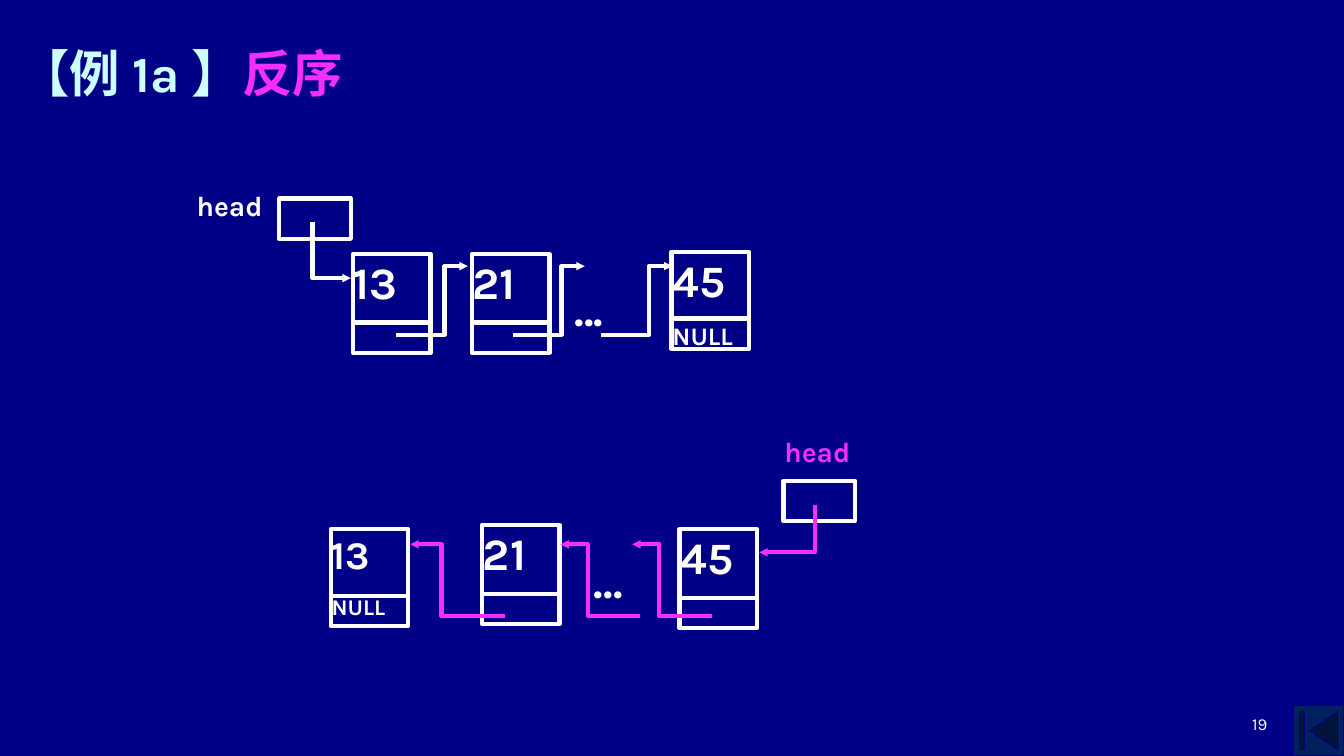
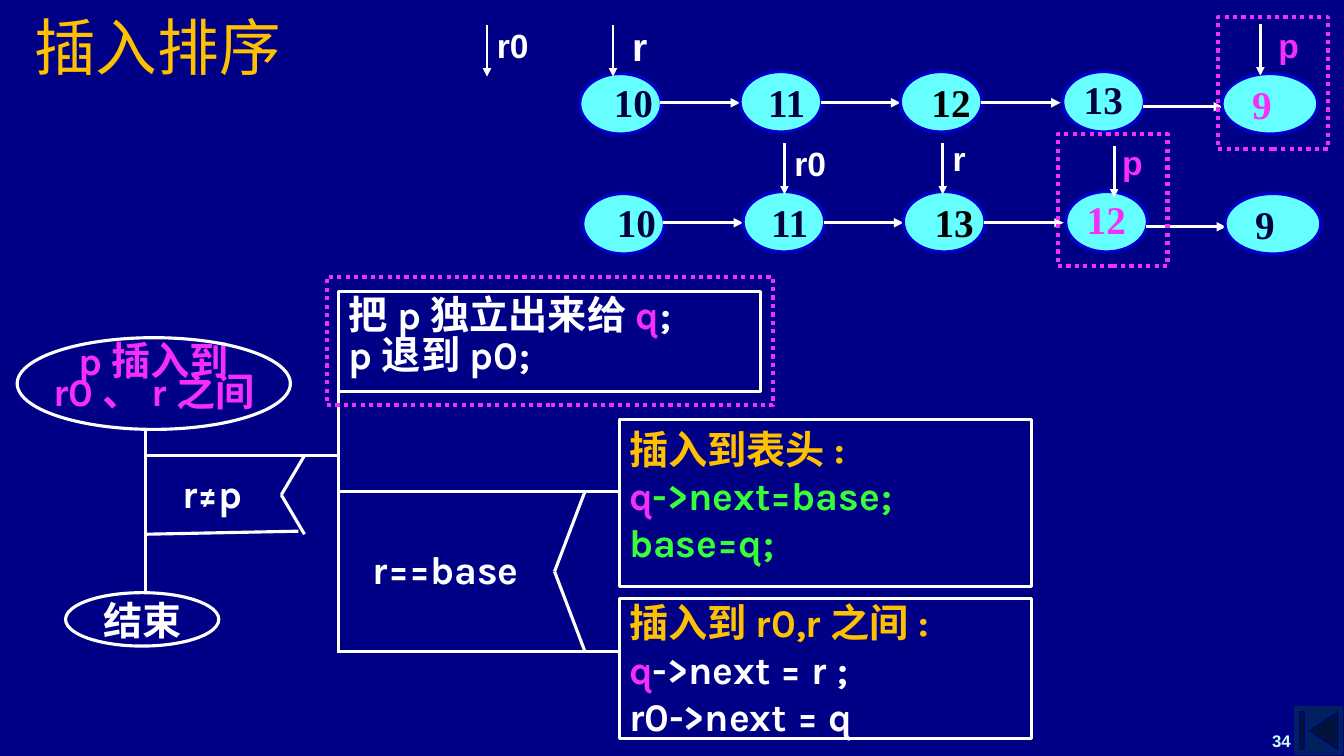
from dataclasses import dataclass

from lxml import etree
from pptx import Presentation
from pptx.dml.color import RGBColor
from pptx.enum.dml import MSO_LINE
from pptx.enum.shapes import MSO_CONNECTOR, MSO_SHAPE
from pptx.enum.text import MSO_ANCHOR, MSO_AUTO_SIZE, PP_ALIGN
from pptx.oxml.ns import qn
from pptx.util import Inches, Pt

RECT, OVAL = MSO_SHAPE.RECTANGLE, MSO_SHAPE.OVAL
BUTTON = MSO_SHAPE.ACTION_BUTTON_BEGINNING
STRAIGHT, DOTS = MSO_CONNECTOR.STRAIGHT, MSO_LINE.ROUND_DOT
TOP, MIDDLE, BOTTOM = MSO_ANCHOR.TOP, MSO_ANCHOR.MIDDLE, MSO_ANCHOR.BOTTOM
LEFT, CENTER, RIGHT = PP_ALIGN.LEFT, PP_ALIGN.CENTER, PP_ALIGN.RIGHT


@dataclass(frozen=True)
class Theme:
    ground: str = "000086"
    white: str = "FFFFFF"
    pink: str = "F52EFC"
    pale: str = "CCFFFF"
    gold: str = "FFC000"
    green: str = "37FF37"
    cyan: str = "66FFFF"
    rim: str = "0000CC"
    ink: str = "000043"
    black: str = "000000"
    navy: str = "002060"
    font: str = "Karla"
    sans: str = "Arial"
    serif: str = "Times New Roman"
    title: int = 36
    large: int = 44
    value: int = 32
    body: int = 28
    label: int = 24
    head: int = 20
    null: int = 18
    foot: int = 12
    thick: float = 3
    thin: float = 2.25
    fine: float = 2


T = Theme()


def rgb(code):
    return RGBColor.from_string(code)


def write(frame, *paras, anchor=TOP, inset=None, **style):
    """Fill a frame; a paragraph is text, (text, colour) runs, or a pair with its own format."""
    frame.word_wrap = True
    frame.auto_size = MSO_AUTO_SIZE.NONE
    frame.vertical_anchor = anchor
    if inset is not None:
        frame.margin_left = frame.margin_right = Inches(inset)
        frame.margin_top = frame.margin_bottom = Inches(inset)
    for i, para in enumerate(paras):
        runs, own = para if isinstance(para, tuple) else (para, {})
        form = {"size": T.body, "color": T.white, "font": T.font, "bold": True,
                "align": LEFT, "lead": None, "before": 0, **style, **own}
        par = frame.add_paragraph() if i else frame.paragraphs[0]
        par.alignment = form["align"]
        par.space_before = Pt(form["before"])
        if form["lead"]:
            par.line_spacing = form["lead"]
        if isinstance(runs, str):
            runs = [(runs, form["color"])]
        for text, color in runs:
            run = par.add_run()
            run.text = text
            run.font.size = Pt(form["size"])
            run.font.name = form["font"]
            run.font.bold = form["bold"]
            run.font.color.rgb = rgb(color)


def stroke(shape, color, width, arrow=None, dash=None):
    shape.line.color.rgb = rgb(color)
    shape.line.width = Pt(width)
    if dash:
        shape.line.dash_style = dash
    props = shape.element.spPr
    if arrow:
        etree.SubElement(props.find(qn("a:ln")), qn("a:tailEnd"),
                         type="triangle", w=arrow, len=arrow)
    if props.find(qn("a:effectLst")) is None:
        etree.SubElement(props, qn("a:effectLst"))


@dataclass
class Area:
    """A region of a slide; every place is measured from its top left corner."""
    slide: object
    x: float = 0
    y: float = 0

    def at(self, x, y):
        return Inches(self.x + x), Inches(self.y + y)

    def box(self, x, y, w, h, kind=RECT, fill=None, color=T.white,
            width=T.thin, dash=None):
        shape = self.slide.shapes.add_shape(kind, *self.at(x, y), Inches(w), Inches(h))
        shape.shadow.inherit = False
        if fill:
            shape.fill.solid()
            shape.fill.fore_color.rgb = rgb(fill)
        else:
            shape.fill.background()
        stroke(shape, color, width, dash=dash)
        return shape

    def text(self, x, y, w, h, *paras, **form):
        frame = self.slide.shapes.add_textbox(*self.at(x, y), Inches(w), Inches(h))
        write(frame.text_frame, *paras, **form)

    def line(self, start, end, width=T.thin, arrow=None):
        shape = self.slide.shapes.add_connector(STRAIGHT, *self.at(*start), *self.at(*end))
        stroke(shape, T.white, width, arrow)

    def bend(self, points, color):
        start, *rest = [self.at(*point) for point in points]
        pen = self.slide.shapes.build_freeform(*start)
        pen.add_line_segments(rest, close=False)
        shape = pen.convert_to_shape()
        shape.shadow.inherit = False
        shape.fill.background()
        stroke(shape, color, T.thick, "sm")


def start(deck, title, box, number, spot, form, foot):
    """Add a slide with its title, page number and corner button."""
    slide = deck.slides.add_slide(deck.slide_layouts[5])
    head = slide.shapes.title
    head.left, head.top, head.width, head.height = map(Inches, box)
    write(head.text_frame, title, anchor=MIDDLE, **form)
    area = Area(slide)
    area.box(12.83, 7, 0.5, 0.5, BUTTON, T.navy, T.ground, 0.75)
    area.text(*spot, number, anchor=BOTTOM, align=RIGHT, size=T.foot, **foot)
    return slide


def node(area, x, y, value, size=T.value, null=0, gap=0):
    """Draw a list node: value above, link field (or NULL) below."""
    high = 0.96 if null else 0.98
    paras = [value]
    if null:
        paras.append(("NULL", {"size": null, "before": gap}))
    shape = area.box(x, y, 0.77, high, width=T.thick)
    write(shape.text_frame, *paras, inset=0.01, size=size)
    bar = y + high - 0.3
    area.line((x, bar), (x + 0.76, bar), T.thick)


def hook(area, x, y, run, rise, reach, color):
    """Draw a link that runs along, climbs, then points on."""
    area.bend([(x, y), (x + run, y), (x + run, y - rise),
               (x + run + reach, y - rise)], color)


def head(area, x, y, box, color):
    area.text(x, y, 0.9, 0.46, "head", inset=0.01, size=T.head, color=color)
    area.box(*box, 0.71, 0.4, width=T.thick)


def dots(area, x, y):
    area.text(x, y, 0.73, 0.42, "...", inset=0.01, size=T.value)


def chain(area):
    head(area, 0, 0, (0.83, 0.11), T.white)
    node(area, 1.56, 0.66, "13")
    node(area, 2.74, 0.66, "21")
    node(area, 4.72, 0.64, "45", null=T.null, gap=9.4)
    for x in (1.99, 3.15, 4.02):
        hook(area, x, 1.46, 0.48, 0.68, 0.23, T.white)
    dots(area, 3.75, 0.92)
    area.bend([(1.16, 0.34), (1.16, 0.9), (1.54, 0.9)], T.white)


def turned(area):
    head(area, 4.49, 0, (4.49, 0.47), T.pink)
    node(area, 0, 0.95, "13", size=T.body, null=16, gap=11.7)
    node(area, 1.5, 0.91, "21")
    node(area, 3.46, 0.95, "45")
    for x, run, reach in ((1.73, -0.63, -0.31), (3.07, -0.52, -0.27), (3.78, -0.52, -0.27)):
        hook(area, x, 1.81, run, 0.71, reach, T.pink)
    dots(area, 2.6, 1.18)
    area.bend([(4.8, 0.71), (4.8, 1.18), (4.25, 1.18)], T.pink)


def row(area, items):
    """Draw five linked ovals from (value, colour) pairs."""
    lefts = (0, 1.59, 3.18, 4.79, 6.37)
    tops = (0, -0.02, -0.02, -0.02, 0)
    shifts = ((0.24, 0), (0.18, 0.02), (0.21, 0.02), (0.11, -0.01), (0.2, 0.02))
    for i, (value, color) in enumerate(items):
        x, y = lefts[i], tops[i]
        dx, dy = shifts[i]
        area.box(x, y, 0.95 if i == 4 else 0.81, 0.6, OVAL, T.cyan, T.rim)
        area.text(x + dx, y + dy, 0.85, 0.57, value, font=T.serif, color=color)
        if i < 4:
            link = 0.33 if i == 3 else 0.29
            area.line((x + 0.8, link), (x + 1.59, link), arrow="med")


def mark(area, x, y, name, dx, dy, color=T.white, size=T.label):
    """Draw a down arrow and the name of the pointer beside it."""
    area.line((x, y), (x, y + 0.51), T.fine, "med")
    area.text(x + dx, y + dy, 0.72, 0.51, name, font=T.sans, color=color, size=size)


def notch(area, x, y, deep, high):
    tip = (x - deep, y + high / 2)
    for end in (y, y + high):
        area.line((x, end), tip)


def flow(area):
    area.text(0, 0.7, 2.71, 0.72, "p插入到", "r0、r之间",
              color=T.pink, align=CENTER, lead=Pt(22))
    area.box(0, 0.6, 2.71, 0.91, OVAL)
    area.text(0.48, 3.12, 1.52, 0.4, "结束", align=CENTER)
    area.box(0.48, 3.13, 1.52, 0.53, OVAL)
    for begin, end in (
        ((1.27, 1.51), (1.27, 3.11)), ((1.27, 1.77), (3.19, 1.77)),
        ((1.27, 2.55), (2.79, 2.52)), ((3.19, 0.45), (3.19, 3.73)),
        ((3.19, 2.13), (5.97, 2.13)), ((3.17, 3.71), (5.97, 3.71)),
    ):
        area.line(begin, end)
    notch(area, 2.85, 1.77, 0.23, 0.78)
    notch(area, 5.63, 2.13, 0.3, 1.58)
    area.text(1.37, 1.86, 1.13, 0.61, "r≠p", align=CENTER)
    area.text(3.07, 2.61, 2.36, 0.55, "r==base", align=CENTER)
    tight = {"lead": 0.64}
    steps = (
        ((3.19, 0.14, 4.18, 0.99),
         ([("把p独立出来给", T.white), ("q", T.pink), (";", T.white)], tight),
         ("p退到p0;", {"lead": 0.9})),
        ((5.97, 3.19, 4.09, 1.39),
         ("插入到r0,r之间:", {"color": T.gold}),
         [("q", T.pink), ("->next = r ;", T.white)],
         "r0->next = q"),
        ((5.97, 1.41, 4.09, 1.66),
         ("插入到表头:", {"color": T.gold, **tight}),
         [("q", T.pink), ("->next=base;", T.green)],
         ("base=q;", {"color": T.green})),
    )
    for box, *paras in steps:
        write(area.box(*box).text_frame, *paras, anchor=MIDDLE)
    frame(area, 3.07, 0, 4.43, 1.27)


def frame(area, x, y, w, h):
    area.box(x, y, w, h, color=T.pink, width=T.thick, dash=DOTS)


def reverse(deck):
    slide = start(deck, [("【例1a】", T.pale), ("反序", T.pink)], (0.09, 0.32, 7.95, 0.95),
                  "19", (9.56, 6.83, 3.11, 0.5), {"size": T.title, "lead": 0.7},
                  {"bold": False})
    chain(Area(slide, 1.94, 1.86))
    turned(Area(slide, 3.28, 4.3))


def insert(deck):
    slide = start(deck, "插入排序", (0.24, 0.19, 2.91, 0.53), "34", (11.75, 7, 1.15, 0.5),
                  {"size": T.large, "color": T.gold, "bold": False},
                  {"font": T.sans, "color": T.pale})
    flow(Area(slide, 0.17, 2.75))
    page = Area(slide)
    row(Area(slide, 5.78, 1.92), (("10", T.ink), ("11", T.ink), ("13", T.black),
                                  ("12", T.pink), ("9", T.ink)))
    mark(page, 7.78, 1.42, "r0", 0, -0.05)
    mark(page, 9.35, 1.42, "r", 0, -0.1)
    mark(page, 11.05, 1.45, "p", -0.02, -0.09, T.pink)
    row(Area(slide, 5.75, 0.73), (("10", T.ink), ("11", T.ink), ("12", T.black),
                                  ("13", T.ink), ("9", T.pink)))
    mark(page, 4.83, 0.25, "r0", 0, -0.05)
    mark(page, 6.08, 0.25, "r", 0.09, -0.08, size=T.body)
    mark(page, 12.5, 0.24, "p", 0.08, -0.04, T.pink)
    for x, y in ((10.49, 1.33), (12.08, 0.17)):
        frame(page, x, y, 1.09, 1.31)


def main():
    deck = Presentation()
    deck.slide_width, deck.slide_height = Inches(13.33), Inches(7.5)
    ground = deck.slide_master.background.fill
    ground.solid()
    ground.fore_color.rgb = rgb(T.ground)
    reverse(deck)
    insert(deck)
    deck.save("out.pptx")


if __name__ == "__main__":
    main()
